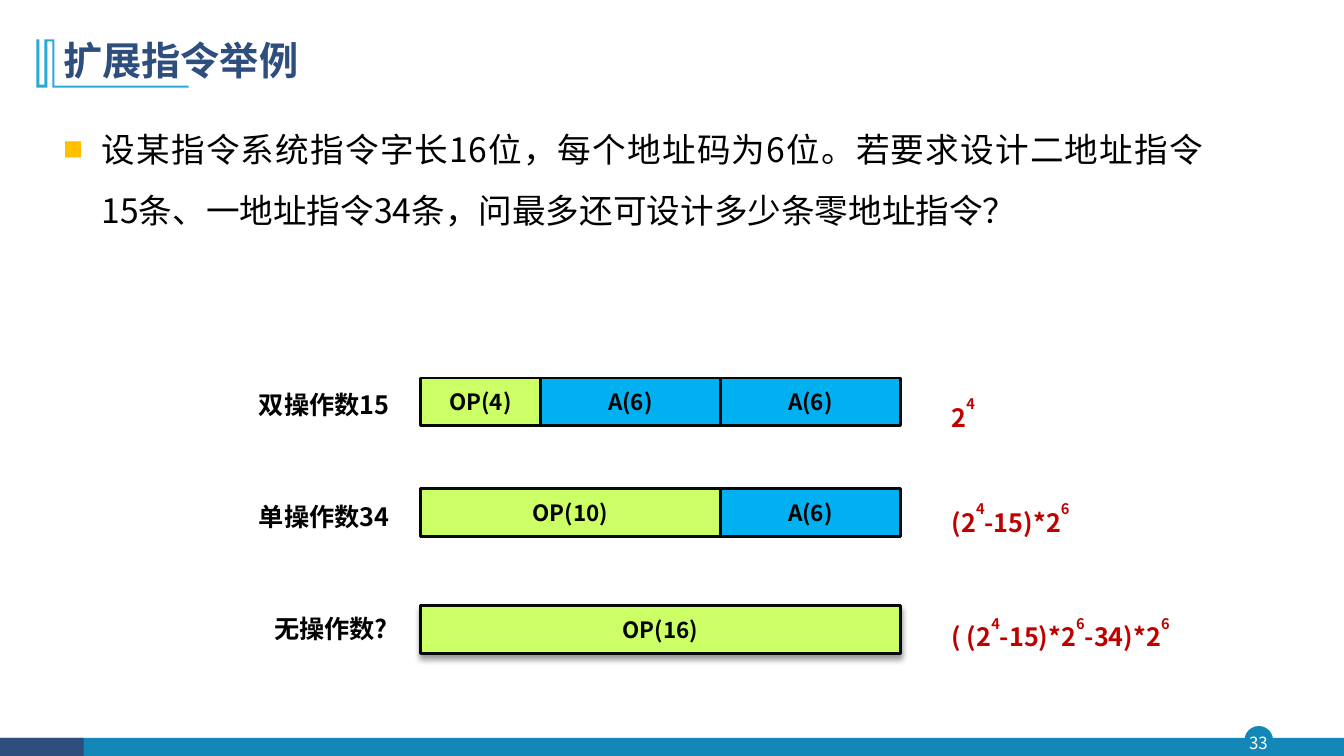
from dataclasses import dataclass

from lxml import etree
from pptx import Presentation
from pptx.dml.color import RGBColor
from pptx.enum.shapes import MSO_SHAPE
from pptx.enum.text import MSO_ANCHOR, PP_ALIGN
from pptx.oxml.ns import qn
from pptx.util import Inches, Pt

RECT, OVAL = MSO_SHAPE.RECTANGLE, MSO_SHAPE.OVAL
TOP, MIDDLE = MSO_ANCHOR.TOP, MSO_ANCHOR.MIDDLE
LEFT, CENTER, JUSTIFY = PP_ALIGN.LEFT, PP_ALIGN.CENTER, PP_ALIGN.JUSTIFY


@dataclass(frozen=True)
class Theme:
    font: str = "Noto Sans CJK SC"
    navy: str = "2E4E7E"
    teal: str = "1387B7"
    accent: str = "28A9D6"
    bullet: str = "FFC000"
    opcode: str = "CCFF66"
    address: str = "00B0F0"
    border: str = "080808"
    formula: str = "C00000"
    black: str = "000000"
    white: str = "FFFFFF"
    title_size: float = 28
    body_size: float = 24
    label_size: float = 18
    field_size: float = 16
    number_size: float = 12


THEME = Theme()
BIT_WIDTH = 4.76 / 16
FIELD_HEIGHT = 0.47

# label, its left, fields in bits, formula, formula width, tops of fields, label, formula
INSTRUCTIONS = [
    ("双操作数15", 2.47, [("OP", 4), ("A", 6), ("A", 6)], "2^4", 1.26, 3.75, 3.81, 3.87),
    ("单操作数34", 2.47, [("OP", 10), ("A", 6)], "(2^4-15)*2^6", 1.98, 4.85, 4.92, 4.91),
    ("无操作数?", 2.62, [("OP", 16)], "( (2^4-15)*2^6-34)*2^6", 2.8, 6.01, 6.04, 6.05),
]


def add_span(para, text, size, color, bold=False, raised=False):
    span = para.add_run()
    span.text = text
    font = span.font
    font.size, font.bold, font.name = Pt(size), bold, THEME.font
    font.color.rgb = RGBColor.from_string(color)
    properties = font._element
    etree.SubElement(properties, qn("a:ea"), typeface=THEME.font)
    if raised:
        properties.set("baseline", "70000")


def write_text(shape, text, size, color=THEME.black, bold=False, align=LEFT,
               anchor=TOP, wrap=True, margin=None, spacing=None):
    """Fill a shape with one paragraph; a digit after ^ becomes a superscript."""
    frame = shape.text_frame
    frame.word_wrap, frame.vertical_anchor = wrap, anchor
    if margin is not None:
        frame.margin_left = frame.margin_right = Inches(margin)
        frame.margin_top = frame.margin_bottom = Inches(margin)
    para = frame.paragraphs[0]
    para.alignment = align
    if spacing:
        para.line_spacing = spacing
    first, *powers = text.split("^")
    add_span(para, first, size, color, bold)
    for power in powers:
        add_span(para, power[0], size, color, bold, raised=True)
        if power[1:]:
            add_span(para, power[1:], size, color, bold)
    return para


def add_text(shapes, box, text, size, **form):
    return write_text(shapes.add_textbox(*map(Inches, box)), text, size, **form)


def add_block(shapes, kind, box, fill, line=None, line_width=1):
    block = shapes.add_shape(kind, *map(Inches, box))
    block.shadow.inherit = False
    block.fill.solid()
    block.fill.fore_color.rgb = RGBColor.from_string(fill)
    if line:
        block.line.color.rgb = RGBColor.from_string(line)
        block.line.width = Pt(line_width)
    else:
        block.line.fill.background()
    return block


def add_drop_shadow(shape):
    effects = shape._element.spPr.find(qn("a:effectLst"))
    shadow = etree.SubElement(effects, qn("a:outerShdw"), blurRad=str(Pt(4)),
                              dist=str(Pt(3)), dir="5400000", rotWithShape="0")
    color = etree.SubElement(shadow, qn("a:srgbClr"), val=THEME.black)
    etree.SubElement(color, qn("a:alpha"), val="40000")


def add_footer(page, box, number):
    left, top, width, height = box
    add_block(page.shapes, OVAL, (left + 12.35, top - 0.11, 0.27, 0.27),
              THEME.teal, THEME.teal)
    add_block(page.shapes, RECT, box, THEME.teal)
    add_block(page.shapes, RECT, (left, top, 0.83, height), THEME.navy)
    add_text(page.shapes, (left + 12.32, top - 0.11, 0.32, 0.31), number,
             THEME.number_size, color=THEME.white, align=CENTER, anchor=MIDDLE, margin=0)


def add_title(page, box, text):
    left, top = box[:2]
    # Bracket with a double bar and an underline
    outline = [(0.01, 0.11), (0.01, 0.57), (1.34, 0.57), (1.34, 0.59), (-0.01, 0.59),
               (-0.01, 0.13), (-0.06, 0.13), (-0.06, 0.59), (-0.17, 0.59),
               (-0.17, 0.11), (-0.14, 0.11), (-0.14, 0.56), (-0.09, 0.56), (-0.09, 0.11)]
    points = [(Inches(left + x), Inches(top + y)) for x, y in outline]
    builder = page.shapes.build_freeform(*points[0])
    builder.add_line_segments(points[1:], close=True)
    bracket = builder.convert_to_shape()
    bracket.shadow.inherit = False
    bracket.fill.solid()
    bracket.fill.fore_color.rgb = RGBColor.from_string(THEME.accent)
    bracket.line.fill.background()
    add_text(page.shapes, box, text, THEME.title_size, color=THEME.navy,
             bold=True, anchor=MIDDLE, spacing=0.9)


def add_question(page, box, text):
    para = add_text(page.shapes, box, text, THEME.body_size, align=JUSTIFY, spacing=1.5)
    properties = para._p.get_or_add_pPr()
    properties.set("marL", str(Inches(0.38)))
    properties.set("indent", str(Inches(-0.38)))
    color = etree.SubElement(properties, qn("a:buClr"))
    etree.SubElement(color, qn("a:srgbClr"), val=THEME.bullet)
    etree.SubElement(properties, qn("a:buSzPct"), val="60000")
    etree.SubElement(properties, qn("a:buFont"), typeface=THEME.font)
    etree.SubElement(properties, qn("a:buChar"), char="■")


def add_instruction(page, left, instruction):
    label, label_left, fields, formula, formula_width, top, label_top, formula_top = instruction
    row = page.shapes.add_group_shape().shapes
    # Fields are as wide as their bits
    field_left = left
    for name, bits in fields:
        width = bits * BIT_WIDTH
        fill = THEME.opcode if name == "OP" else THEME.address
        field = add_block(row, RECT, (field_left, top, width, FIELD_HEIGHT),
                          fill, THEME.border, 2)
        write_text(field, f"{name}({bits})", THEME.field_size, bold=True,
                   align=CENTER, anchor=MIDDLE)
        if len(fields) == 1:
            add_drop_shadow(field)
        field_left += width
    add_text(row, (label_left, label_top, 1.56, 0.4), label, THEME.label_size,
             bold=True)
    # Number of codes available
    add_text(page.shapes, (left + 5.17, formula_top, formula_width, 0.4), formula,
             THEME.label_size, color=THEME.formula, bold=True, wrap=False)


def main():
    deck = Presentation()
    deck.slide_width, deck.slide_height = Inches(13.33), Inches(7.5)
    page = deck.slides.add_slide(deck.slide_layouts[6])
    add_footer(page, (0, 7.32, 13.33, 0.19), "33")
    add_title(page, (0.53, 0.28, 11.5, 0.68), "扩展指令举例")
    add_question(page, (0.53, 1.03, 11.5, 1.61),
                 "设某指令系统指令字长16位，每个地址码为6位。若要求设计二地址指令"
                 "15条、一地址指令34条，问最多还可设计多少条零地址指令？")
    for instruction in INSTRUCTIONS:
        add_instruction(page, 4.17, instruction)
    deck.save("out.pptx")


if __name__ == "__main__":
    main()
